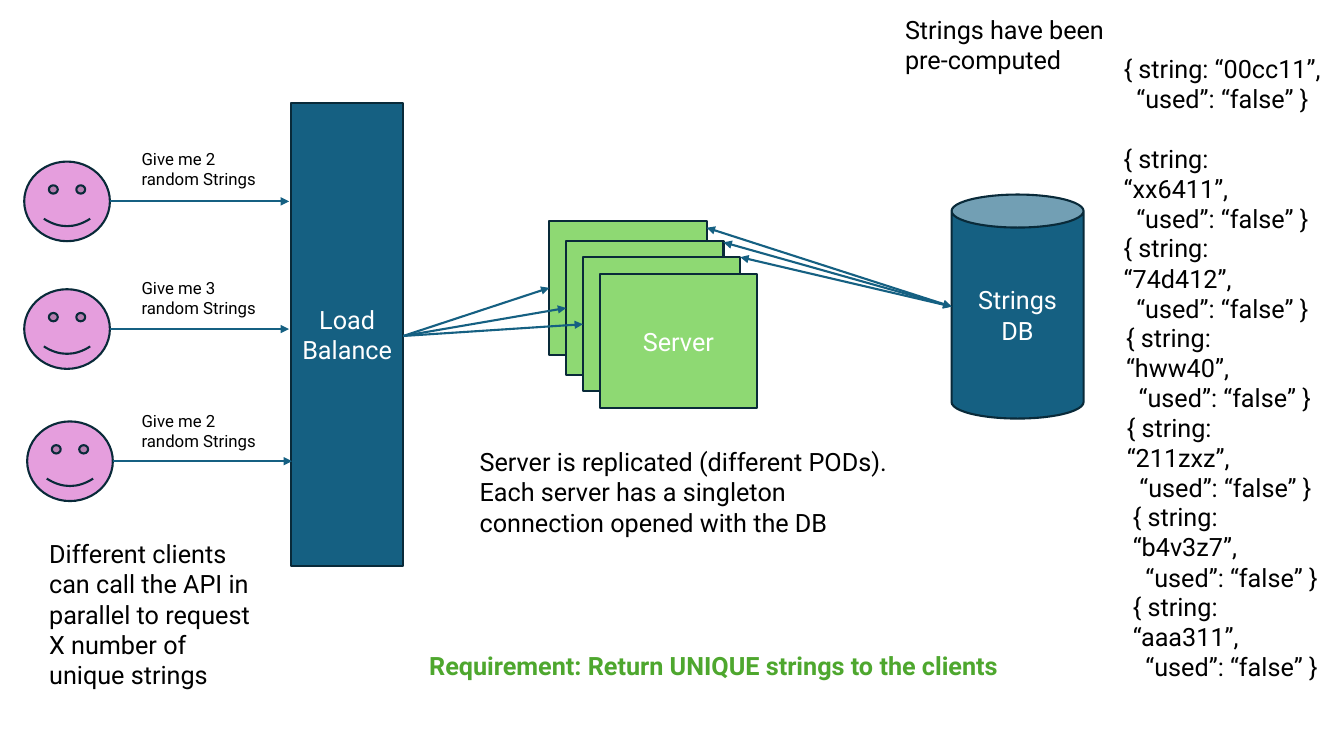
from pptx import Presentation
from pptx.dml.color import RGBColor
from pptx.enum.shapes import MSO_CONNECTOR as Link, MSO_SHAPE as Kind
from pptx.enum.text import MSO_ANCHOR as Anchor, MSO_AUTO_SIZE as Fit, PP_ALIGN as Align
from pptx.oxml.ns import qn
from pptx.util import Pt
from lxml.etree import SubElement

BLUE, DARK, GREEN, PINK = "156082", "092A39", "8ED973", "E59EDD"


def color(code):
    return RGBColor.from_string(code)


def write(frame, text, size=18, ink="000000", bold=False, align=Align.LEFT, indent=0):
    """Fill a text frame; each item of a list is a paragraph, all but the first indented."""
    frame.word_wrap = True
    lines = text if isinstance(text, list) else [text]
    for i, line in enumerate(lines):
        para = frame.add_paragraph() if i else frame.paragraphs[0]
        para.text = line
        para.alignment = align
        if i and indent:
            props = para._p.get_or_add_pPr()
            props.set("marL", str(Pt(indent)))
            props.set("indent", "0")
        for run in para.runs:
            font = run.font
            font.name, font.size, font.bold = "Roboto", Pt(size), bold
            font.color.rgb = color(ink)


def label(slide, box, text, **style):
    area = slide.shapes.add_textbox(*map(Pt, box))
    write(area.text_frame, text, **style)
    area.text_frame.auto_size = Fit.SHAPE_TO_FIT_TEXT


def block(slide, kind, box, fill, text=None):
    shape = slide.shapes.add_shape(kind, *map(Pt, box))
    shape.shadow.inherit = False
    shape.fill.solid()
    shape.fill.fore_color.rgb = color(fill)
    shape.line.color.rgb = color(DARK)
    shape.line.width = Pt(1.5)
    if text:
        shape.text_frame.vertical_anchor = Anchor.MIDDLE
        write(shape.text_frame, text, ink="FFFFFF", align=Align.CENTER)


def arrow(slide, start, end, both=False):
    link = slide.shapes.add_connector(Link.STRAIGHT, *map(Pt, (*start, *end)))
    link.line.color.rgb = color(BLUE)
    link.line.width = Pt(1.5)
    line = link.line._get_or_add_ln()
    for tip in ("headEnd", "tailEnd") if both else ("tailEnd",):
        SubElement(line, qn("a:" + tip), type="triangle")
    SubElement(link._element.spPr, qn("a:effectLst"))


def client(slide, box, count, lift):
    """Draw a face, its request arrow and the request, lifted above the face's top."""
    x, y, w, h = box
    block(slide, Kind.SMILEY_FACE, box, PINK)
    mid = y + h / 2
    arrow(slide, (x + w, mid), (x + w + 128, mid))
    label(slide, (94, y - lift, 101, 36), f"Give me {count} random Strings", size=12)


def servers(slide, box, tops, source, store):
    """Stack servers from back to front and link those behind to both sides."""
    x, y, w, h = box
    spots = [(x + 12 * i, y + top) for i, top in enumerate(tops)]
    for spot in spots[:-1]:
        block(slide, Kind.RECTANGLE, (*spot, w, h), GREEN)
    block(slide, Kind.RECTANGLE, (*spots[-1], w, h), GREEN, "Server")
    for (left, top), drop in zip(spots, (5, 1, 0)):
        arrow(slide, source, (left, top + h / 2))
        arrow(slide, (left + w, top + drop), store, both=True)


def records(slide, box, rows):
    """List the stored strings; each row has a value, a shift and a width."""
    x, y, step, h = box
    for i, (value, shift, width) in enumerate(rows):
        label(slide, (x + shift, y + i * step, width, h),
              [f"{{ string: “{value}”,", "“used”: “false” }"], indent=9)


def main():
    deck = Presentation()
    deck.slide_width, deck.slide_height = Pt(960), Pt(540)
    slide = deck.slides.add_slide(deck.slide_layouts[6])

    block(slide, Kind.CAN, (679.7, 139, 94.3, 160), BLUE, ["Strings", "DB"])
    block(slide, Kind.RECTANGLE, (208, 73.5, 80, 331), BLUE, ["Load", "Balance"])
    servers(slide, (392.4, 157.7, 112.4, 95.8), (0, 14.4, 26, 38),
            source=(288, 240), store=(679.7, 219))

    for x, y, count, lift in ((17.3, 115.4, 2, 13), (17.3, 206.6, 3, 12),
                              (19.4, 301, 2, 11)):
        client(slide, (x, y, 61.2, 56.9), count, lift)

    records(slide, (795.6, 34.6, 64, 51), [
        ("00cc11", 0, 157.7), ("xx6411", 0, 149), ("74d412", 0, 153.4),
        ("hww40", 1.7, 149), ("211zxz", 2.2, 146.2),
        ("b4v3z7", 6.5, 150.5), ("aaa311", 6.5, 152.6)])

    label(slide, (639.4, 6.5, 175, 51), "Strings have been pre-computed")
    label(slide, (335.5, 315.4, 320.4, 72.7),
          "Server is replicated (different PODs).\v"
          "Each server has a singleton connection opened with the DB")
    label(slide, (28, 381, 167, 116.6),
          "Different clients can call the API in parallel to request "
          "X number of unique strings")
    label(slide, (299.5, 461, 434.2, 29),
          "Requirement: Return UNIQUE strings to the clients", ink="4EA72E", bold=True)

    deck.save("out.pptx")


if __name__ == "__main__":
    main()
